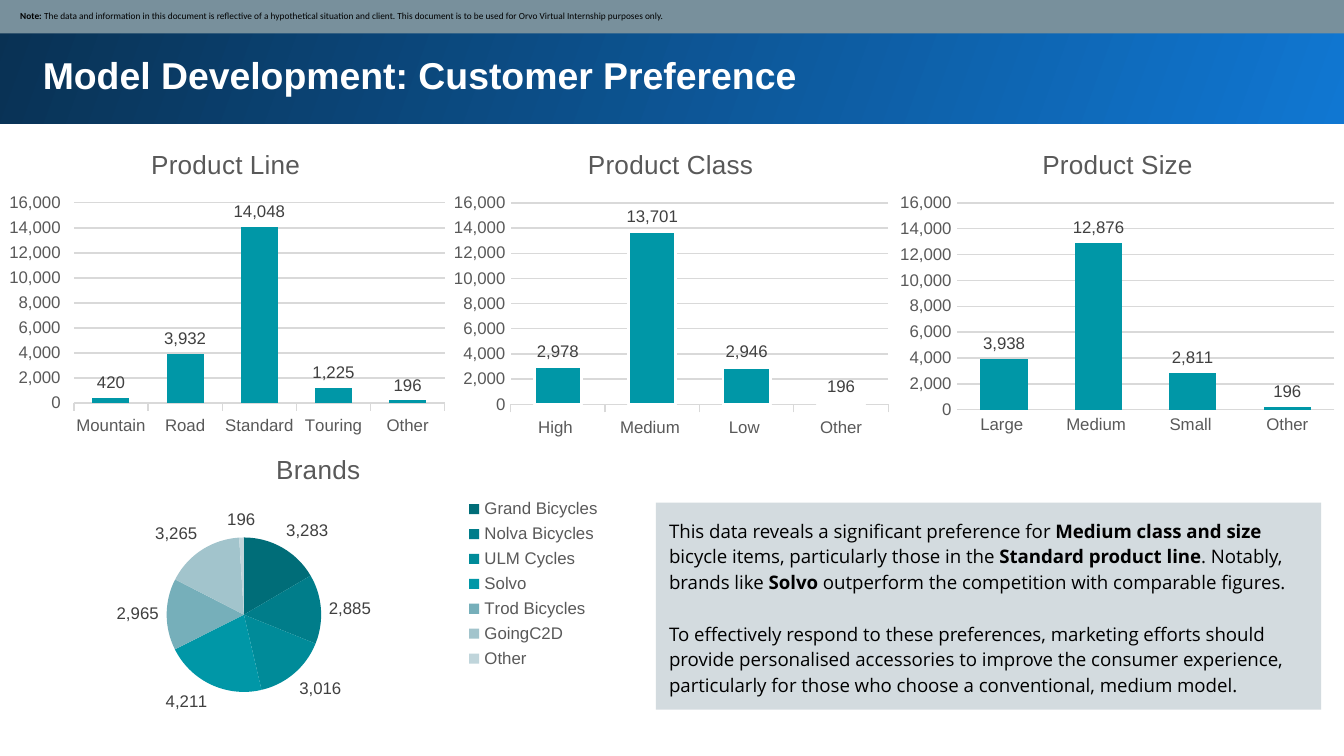
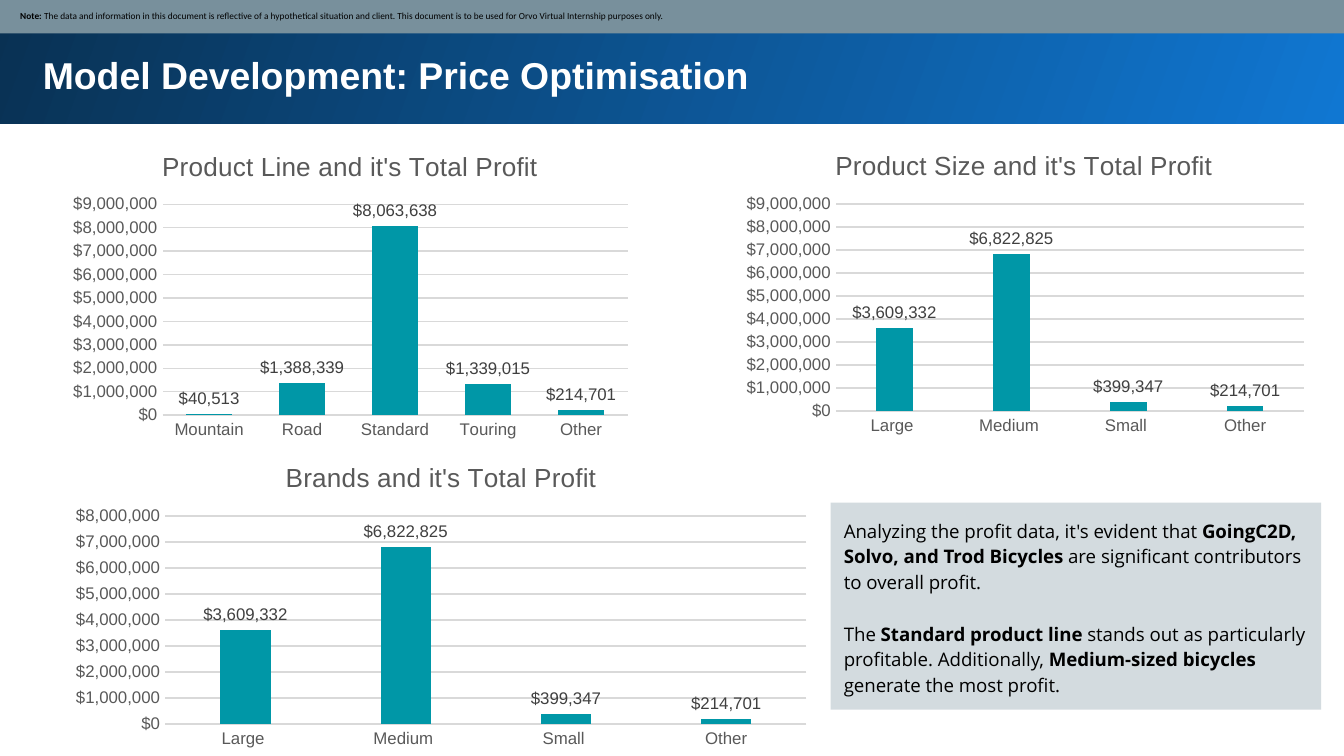
import lxml.etree
import pptx
import pptx.chart.data
import pptx.dml.color
import pptx.enum.chart
import pptx.enum.shapes
import pptx.enum.text
import pptx.oxml.ns
import pptx.util

Inches, Pt, qn = pptx.util.Inches, pptx.util.Pt, pptx.oxml.ns.qn
XL = pptx.enum.chart
ANCHOR = pptx.enum.text.MSO_ANCHOR
FIT = pptx.enum.text.MSO_AUTO_SIZE.SHAPE_TO_FIT_TEXT

# Colours
BLACK, WHITE, SLATE, TEAL = "000000", "FFFFFF", "78909C", "0097A7"
BRIGHT, NAVY = "1077D2", "093153"
GREY, DARK_GREY, GRID = "595959", "404040", "D9D9D9"
PIE_COLORS = ["006D78", "007D8A", "008B99", TEAL, "76AFBA", "A2C4CC", "C0D5DB"]

# Number formats and categories
COUNT, DOLLARS = "#,##0", "[$$-C09]#,##0"
LINES = ["Mountain", "Road", "Standard", "Touring", "Other"]
CLASSES = ["High ", "Medium ", "Low ", "Other"]
SIZES = ["Large ", "Medium ", "Small ", "Other"]
BRANDS = ["Grand Bicycles", "Nolva Bicycles", "ULM Cycles", "Solvo",
          "Trod Bicycles", "GoingC2D", "Other"]
SIZE_PROFIT = [3609332, 6822825, 399347, 214701]

NOTE = ("**Note: **The data and information in this document is reflective of a "
        "hypothetical situation and client. This document is to be used for Orvo "
        "Virtual Internship purposes only.")
PREFERENCE = [
    "This data reveals a significant preference for **Medium class and size **bicycle "
    "items, particularly those in the **Standard product line**. Notably, brands like "
    "**Solvo** outperform the competition with comparable figures.",
    "To effectively respond to these preferences, marketing efforts should provide "
    "personalised accessories to improve the consumer experience, particularly for "
    "those who choose a conventional, medium model."]
PROFIT = [
    "Analyzing the profit data, it's evident that **GoingC2D, Solvo, and Trod "
    "Bicycles** are significant contributors to overall profit.",
    "The **Standard product line **stands out as particularly profitable. "
    "Additionally, **Medium-sized bicycles **generate the most profit."]


def rgb(color):
    return pptx.dml.color.RGBColor.from_string(color)


def assign(obj, values):
    for name, value in values.items():
        setattr(obj, name, value)


def set_font(font, size, color, name="Arial", bold=False):
    assign(font, {"size": Pt(size), "name": name, "bold": bold})
    font.color.rgb = rgb(color)


def set_layout(parent, frame, box, inner=False):
    """Place a chart part by a slide box (inches) inside the chart frame."""
    layout = parent.find(qn("c:layout"))
    if layout is None:
        layout = lxml.etree.Element(qn("c:layout"))
        parent.insert(0, layout)
    manual = lxml.etree.SubElement(layout, qn("c:manualLayout"))
    left, top, width, height = frame
    values = {"xMode": "edge", "yMode": "edge",
              "x": (box[0] - left) / width, "y": (box[1] - top) / height}
    if inner:
        values = {"layoutTarget": "inner", **values,
                  "w": box[2] / width, "h": box[3] / height}
    for tag, value in values.items():
        text = value if isinstance(value, str) else f"{value:.4f}"
        lxml.etree.SubElement(manual, qn(f"c:{tag}")).set("val", text)


class Deck:
    def __init__(self):
        self.prs = pptx.Presentation()
        # 16:9 page
        assign(self.prs, {"slide_width": Inches(10),
                          "slide_height": Inches(10) * 9 // 16})
        self.s = None

    def slide(self, title):
        self.s = self.prs.slides.add_slide(self.prs.slide_layouts[6])
        # Gradient title band
        band = self.rect(0, 0, 10.01, 0.92)
        band.fill.gradient()
        band.fill.gradient_angle = 160
        for stop, color in zip(band.fill.gradient_stops, (BRIGHT, NAVY)):
            stop.color.rgb = rgb(color)
        # Note strip
        strip = self.rect(-0.01, -0.01, 10.01, 0.26, SLATE)
        self.text(strip, [NOTE], 5, BLACK, "Calibri", inset=0.05, left=0.16,
                  vertical_anchor=ANCHOR.MIDDLE)
        # Title
        box = self.s.shapes.add_textbox(*map(Inches, (0.22, 0.29, 9.37, 0.54)))
        self.text(box, [f"**{title}**"], 20, WHITE, "Arial", auto_size=FIT)

    def rect(self, left, top, width, height, color=None):
        sp = self.s.shapes.add_shape(pptx.enum.shapes.MSO_SHAPE.RECTANGLE,
                                     *map(Inches, (left, top, width, height)))
        sp.shadow.inherit = False
        sp.line.fill.background()
        if color:
            sp.fill.solid()
            sp.fill.fore_color.rgb = rgb(color)
        return sp

    def text(self, sp, paragraphs, size, color, font, inset=0.1, left=None,
             spacing=None, gap=0, **frame):
        """Fill a shape with paragraphs; ** switches bold on and off."""
        tf = sp.text_frame
        margin = Inches(inset)
        assign(tf, {"word_wrap": True, "vertical_anchor": ANCHOR.TOP,
                    "margin_left": margin if left is None else Inches(left),
                    "margin_right": margin, "margin_top": margin,
                    "margin_bottom": margin, **frame})
        for i, text in enumerate(paragraphs):
            p = tf.add_paragraph() if i else tf.paragraphs[0]
            assign(p, {"alignment": pptx.enum.text.PP_ALIGN.LEFT,
                       "line_spacing": spacing})
            if i:
                p.space_before = Pt(gap)
            for j, part in enumerate(text.split("**")):
                if part:
                    r = p.add_run()
                    r.text = part
                    set_font(r.font, size, color, font, bold=j % 2 == 1)

    def insight(self, left, width, paragraphs):
        sp = self.rect(left, 3.74, width, 1.54, SLATE)
        clr = sp._element.spPr.find(".//" + qn("a:srgbClr"))
        lxml.etree.SubElement(clr, qn("a:alpha")).set("val", "32000")
        self.text(sp, paragraphs, 10, BLACK, "Open Sans", spacing=1.15, gap=13.8,
                  auto_size=FIT)

    def chart(self, kind, frame, title, title_at, plot_box, cats, vals, fmt):
        data = pptx.chart.data.CategoryChartData(number_format=fmt)
        data.categories = cats
        data.add_series("Series 1", vals)
        chart = self.s.shapes.add_chart(kind, *map(Inches, frame), data).chart
        set_font(chart.font, 10, BLACK)
        chart.has_legend = False
        # Title and plot area
        chart.has_title = True
        p = chart.chart_title.text_frame.paragraphs[0]
        r = p.add_run()
        r.text = title
        set_font(r.font, 14, GREY)
        set_layout(chart.chart_title._element, frame, title_at)
        set_layout(chart._chartSpace.find(".//" + qn("c:plotArea")), frame,
                   plot_box, inner=True)
        # Data labels
        plot = chart.plots[0]
        plot.has_data_labels = True
        labels = plot.data_labels
        assign(labels, {"show_value": True, "show_percentage": False,
                        "number_format": fmt, "number_format_is_linked": False,
                        "position": XL.XL_LABEL_POSITION.OUTSIDE_END})
        set_font(labels.font, 9, DARK_GREY)
        return chart

    def columns(self, frame, title, title_at, plot_box, cats, vals, top=None,
                fmt=COUNT, gap=100, overlap=0, cat_tick="NONE", val_tick="NONE",
                outline=False):
        chart = self.chart(XL.XL_CHART_TYPE.COLUMN_CLUSTERED, frame, title,
                           title_at, plot_box, cats, vals, fmt)
        plot = chart.plots[0]
        assign(plot, {"gap_width": gap, "overlap": overlap, "vary_by_categories": False})
        bars = plot.series[0].format
        bars.fill.solid()
        bars.fill.fore_color.rgb = rgb(TEAL)
        if outline:
            bars.line.color.rgb = rgb(WHITE)
            bars.line.width = Pt(1.5)
        # Axes
        cat, val = chart.category_axis, chart.value_axis
        cat.has_major_gridlines = False
        assign(val, {"maximum_scale": top, "has_major_gridlines": True})
        assign(val.tick_labels, {"number_format": fmt, "number_format_is_linked": False})
        for axis, tick in ((cat, cat_tick), (val, val_tick)):
            assign(axis, {"major_tick_mark": XL.XL_TICK_MARK[tick],
                          "minor_tick_mark": XL.XL_TICK_MARK.NONE})
            set_font(axis.tick_labels.font, 9, GREY)
        val.format.line.fill.background()
        for line in (cat.format.line, val.major_gridlines.format.line):
            line.color.rgb = rgb(GRID)
            line.width = Pt(0.75)

    def pie(self, frame, title, title_at, plot_box, cats, vals, colors):
        chart = self.chart(XL.XL_CHART_TYPE.PIE, frame, title, title_at,
                           plot_box, cats, vals, COUNT)
        for i, color in enumerate(colors):
            fill = chart.plots[0].series[0].points[i].format.fill
            fill.solid()
            fill.fore_color.rgb = rgb(color)
        chart.has_legend = True
        assign(chart.legend, {"position": XL.XL_LEGEND_POSITION.RIGHT,
                              "include_in_layout": False})
        set_font(chart.legend.font, 9, GREY)


def main():
    deck = Deck()

    # Customer preference
    deck.slide("Model Development: Customer Preference")
    deck.insight(4.88, 4.95, PREFERENCE)
    deck.columns((3.31, 0.97, 3.37, 2.33), "Product Class", (4.34, 1.06),
                 (3.8, 1.51, 2.81, 1.5), CLASSES, [2978, 13701, 2946, 196],
                 cat_tick="OUTSIDE", outline=True)
    deck.pie((0.17, 3.23, 4.4, 2.23), "Brands", (2.02, 3.33), (1.24, 4, 1.15, 1.15),
             BRANDS, [3283, 2885, 3016, 4211, 2965, 3265, 196], PIE_COLORS)
    deck.columns((0, 0.96, 3.37, 2.33), "Product Line", (1.09, 1.06),
                 (0.55, 1.51, 2.76, 1.49), LINES, [420, 3932, 14048, 1225, 196],
                 cat_tick="OUTSIDE", val_tick="OUTSIDE")
    deck.columns((6.63, 0.96, 3.37, 2.33), "Product Size", (7.72, 1.06),
                 (7.12, 1.51, 2.81, 1.54), SIZES, [3938, 12876, 2811, 196], top=16000)

    # Price optimisation
    deck.slide("Model Development: Price Optimisation")
    money = {"fmt": DOLLARS, "overlap": -27}
    deck.columns((5.47, 0.98, 4.31, 2.31), "Product Size and it's Total Profit",
                 (6.18, 1.07), (6.22, 1.52, 3.48, 1.54), SIZES, SIZE_PROFIT,
                 top=9000000, gap=219, **money)
    deck.columns((0.45, 0.98, 4.31, 2.34), "Product Line and it's Total Profit",
                 (1.17, 1.08), (1.21, 1.52, 3.46, 1.57), LINES,
                 [40513, 1388339, 8063638, 1339015, 214701], **money)
    deck.columns((0.45, 3.3, 5.66, 2.31), "Brands and it's Total Profit",
                 (2.09, 3.39), (1.23, 3.84, 4.77, 1.55), SIZES, SIZE_PROFIT,
                 gap=219, **money)
    deck.insight(6.18, 3.65, PROFIT)

    deck.prs.save("out.pptx")


if __name__ == "__main__":
    main()
